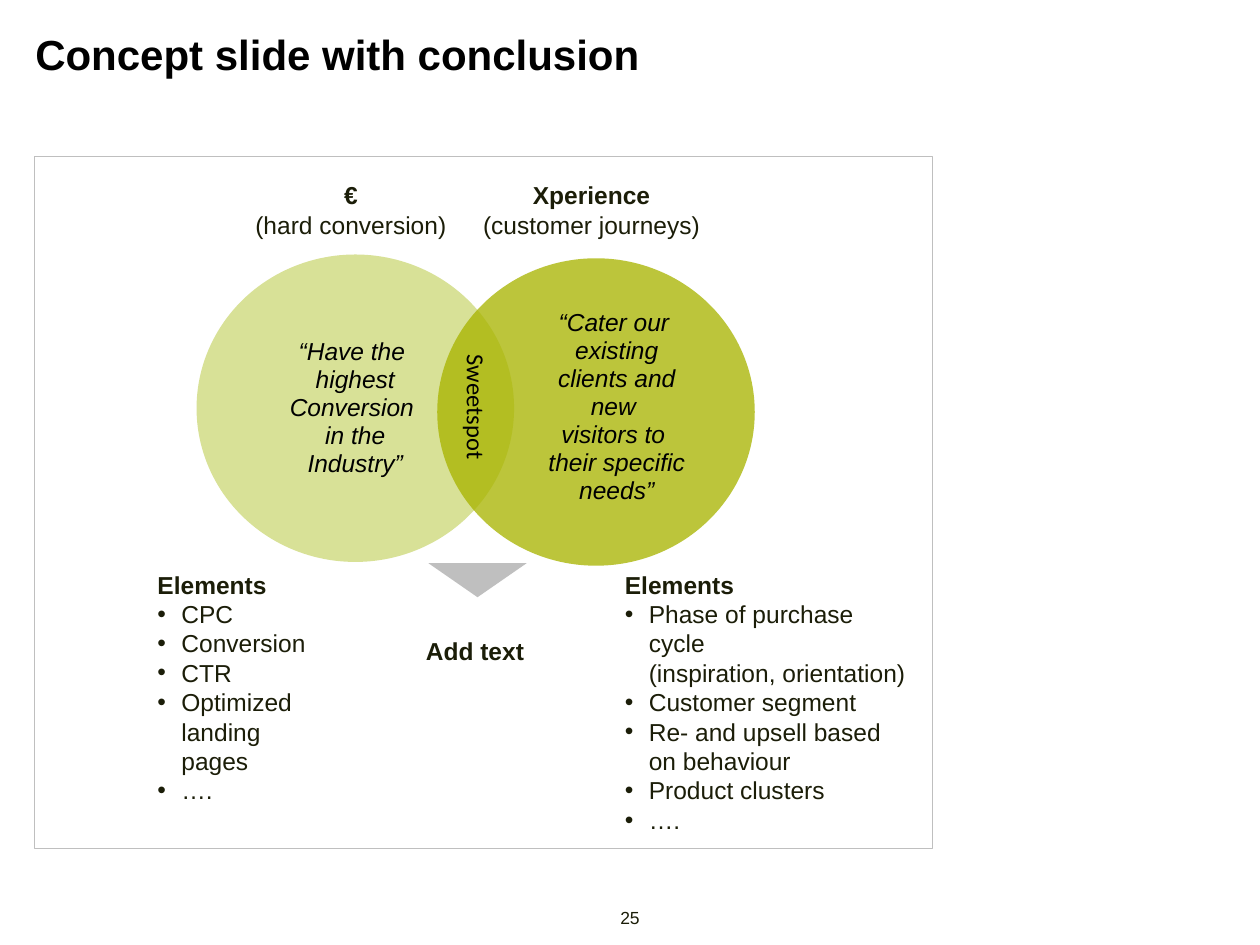
from lxml import etree
from pptx import Presentation
from pptx.dml.color import RGBColor
from pptx.enum.shapes import MSO_SHAPE
from pptx.enum.text import MSO_ANCHOR, PP_ALIGN
from pptx.oxml.ns import qn
from pptx.util import Inches, Pt

OVAL, MERGE, RECT = MSO_SHAPE.OVAL, MSO_SHAPE.FLOWCHART_MERGE, MSO_SHAPE.RECTANGLE
TOP, MIDDLE = MSO_ANCHOR.TOP, MSO_ANCHOR.MIDDLE
LEFT, CENTER = PP_ALIGN.LEFT, PP_ALIGN.CENTER

BLACK = RGBColor(0x00, 0x00, 0x00)
INK = RGBColor(0x1B, 0x1D, 0x08)
WHITE = RGBColor(0xFF, 0xFF, 0xFF)
GREY = RGBColor(0xBF, 0xBF, 0xBF)
PALE_GREEN = RGBColor(0xD8, 0xE1, 0x97)
GREEN = RGBColor(0xA8, 0xB4, 0x00)


class ConceptSlide:
    """Holds the text style and the slide being built."""

    font, size, hang = "Arial", 14, 0.19

    def __init__(self, deck):
        self.slide = deck.slides.add_slide(deck.slide_layouts[5])

    def add_text(self, paragraph, text, color=INK, size=None, font=None, bold=False, italic=False):
        """Add text as runs, with a line break at each newline."""
        for number, line in enumerate(text.split("\n")):
            if number:
                paragraph.add_line_break()
            if not line:
                continue
            run = paragraph.add_run()
            run.text = line
            run.font.name = font or self.font
            run.font.size = Pt(size or self.size)
            run.font.bold, run.font.italic = bold, italic
            run.font.color.rgb = color

    def frame(self, shape, anchor=TOP, margins=(0, 0)):
        """Set wrapping, anchor and margins, and return the text frame."""
        frame = shape.text_frame
        frame.word_wrap = True
        frame.vertical_anchor = anchor
        frame.margin_left = frame.margin_right = Inches(margins[0])
        frame.margin_top = frame.margin_bottom = Inches(margins[1])
        return frame

    def indent(self, paragraph, left, first):
        """Set the left and first-line indents."""
        properties = paragraph._p.get_or_add_pPr()
        properties.set("marL", str(Inches(left)))
        properties.set("indent", str(Inches(first)))
        return properties

    def title(self, text, box):
        """Place and fill the title placeholder."""
        title = self.slide.shapes.title
        title.left, title.top, title.width, title.height = map(Inches, box)
        paragraph = self.frame(title).paragraphs[0]
        paragraph.alignment = LEFT
        self.add_text(paragraph, text, BLACK, size=24, bold=True)

    def shape(self, kind, box, fill=None, line=None, alpha=None):
        """Add a flat preset shape."""
        shape = self.slide.shapes.add_shape(kind, *map(Inches, box))
        shape.shadow.inherit = False
        if fill is None:
            shape.fill.background()
        else:
            shape.fill.solid()
            shape.fill.fore_color.rgb = fill
        if alpha is not None:
            color = shape._element.spPr.find(qn("a:solidFill"))[0]
            etree.SubElement(color, qn("a:alpha"), val=str(alpha * 1000))
        if line is None:
            shape.line.fill.background()
        else:
            shape.line.color.rgb = line
            shape.line.width = Pt(0.5)
        return shape

    def circle(self, box, fill, quotes, anchor, alpha=None, indents=(0, 0)):
        """Add a circle with its quote."""
        frame = self.frame(self.shape(OVAL, box, fill, alpha=alpha), anchor, (0.1, 0.05))
        for number, quote in enumerate(quotes):
            paragraph = frame.add_paragraph() if number else frame.paragraphs[0]
            paragraph.alignment = CENTER
            paragraph.line_spacing = 0.95
            self.indent(paragraph, *indents)
            self.add_text(paragraph, quote, BLACK, italic=True)

    def label(self, box, heading="", detail="", vertical=False, **style):
        """Add a centred text box with a bold heading and a plain detail."""
        frame = self.frame(self.slide.shapes.add_textbox(*map(Inches, box)))
        if vertical:
            frame._txBody.bodyPr.set("vert", "vert")
        paragraph = frame.paragraphs[0]
        paragraph.alignment = CENTER
        self.add_text(paragraph, heading, bold=True, **style)
        self.add_text(paragraph, detail, **style)

    def panel(self, box, heading, items=(), align=LEFT):
        """Add a white panel with a bold heading and bulleted items."""
        frame = self.frame(self.shape(RECT, box, WHITE))
        frame.paragraphs[0].alignment = align
        self.add_text(frame.paragraphs[0], heading, bold=True)
        for item in items:
            paragraph = frame.add_paragraph()
            paragraph.alignment = align
            paragraph.level = 1
            properties = self.indent(paragraph, self.hang, -self.hang)
            etree.SubElement(properties, qn("a:buFont"), typeface=self.font)
            etree.SubElement(properties, qn("a:buChar"), char="•")
            self.add_text(paragraph, item)


def main():
    """Build the concept slide and save it."""
    deck = Presentation()
    deck.slide_width, deck.slide_height = Inches(10), Inches(7.5)
    concept = ConceptSlide(deck)

    concept.title("Concept slide with conclusion", (0.28, 0.23, 9.44, 0.4))
    concept.label((4.85, 7.2, 0.3, 0.17), detail="25", size=10)

    concept.circle((1.56, 2.02, 2.52, 2.44), PALE_GREEN,
                   ["“Have the \nhighest", "Conversion \nin the", "Industry”"], MIDDLE)
    concept.circle((3.47, 2.05, 2.52, 2.44), GREEN,
                   ["“Cater our \nexisting clients and new \nvisitors to \ntheir specific needs”"],
                   TOP, alpha=77, indents=(0.33, 0.01))
    concept.label((3.66, 2.75, 0.24, 0.96), detail="Sweetspot", vertical=True,
                  color=BLACK, font="Calibri")
    concept.shape(MERGE, (3.4, 4.47, 0.78, 0.27), GREY)

    concept.panel((1.25, 4.52, 1.4, 1.88), "Elements",
                  ["CPC", "Conversion", "CTR", "Optimized landing pages", "…."])
    concept.panel((4.96, 4.52, 2.27, 2.12), "Elements",
                  ["Phase of purchase cycle \n(inspiration, orientation)", "Customer segment",
                   "Re- and upsell based on behaviour", "Product clusters", "…."])

    for left, heading, detail in ((1.86, "€\n", "(hard conversion)"),
                                  (3.77, "Xperience\n", "(customer journeys)")):
        concept.label((left, 1.43, 1.85, 0.47), heading, detail)

    concept.panel((3.07, 5.05, 1.4, 0.24), "Add text", align=CENTER)
    concept.shape(RECT, (0.27, 1.24, 7.13, 5.49), line=GREY)

    deck.save("out.pptx")


main()
